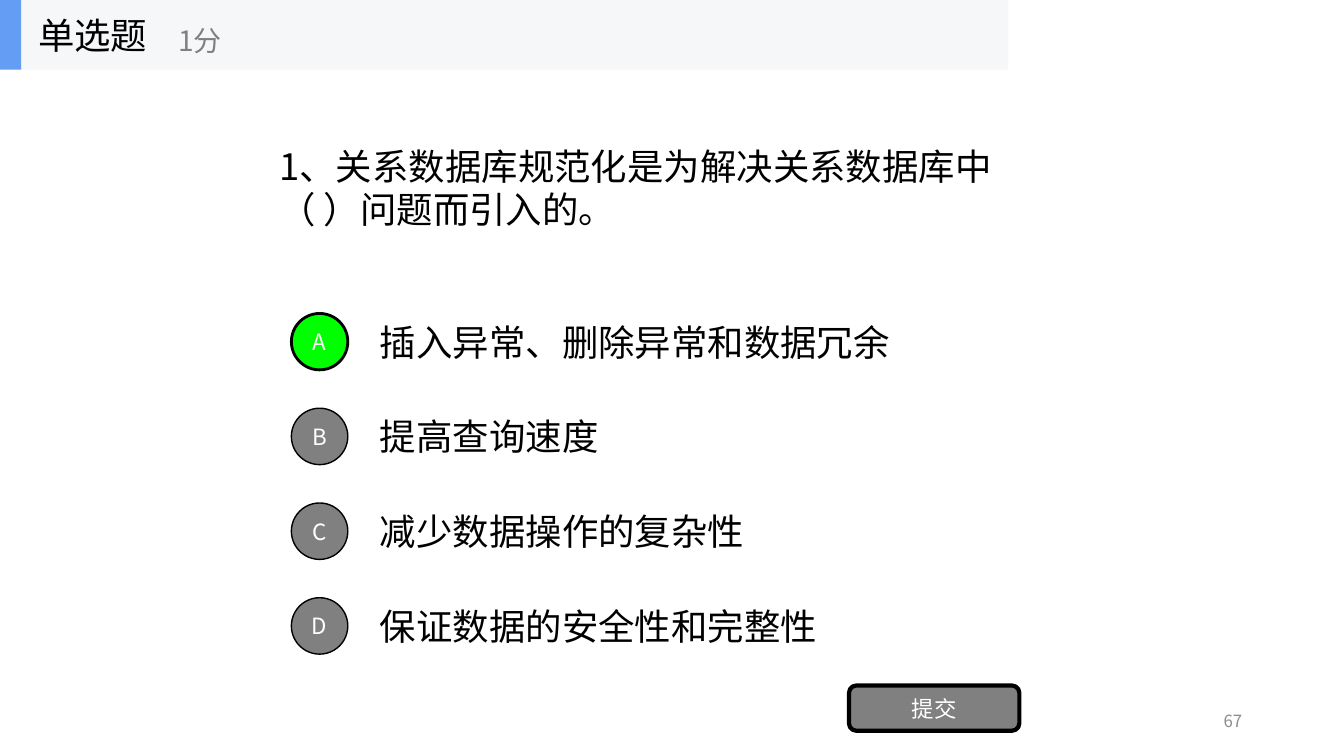
from dataclasses import dataclass

from lxml import etree
from pptx import Presentation
from pptx.dml.color import RGBColor
from pptx.enum.shapes import MSO_SHAPE
from pptx.enum.text import MSO_ANCHOR, MSO_AUTO_SIZE, PP_ALIGN
from pptx.oxml.ns import qn
from pptx.util import Inches, Pt

OVAL = MSO_SHAPE.OVAL
RECTANGLE = MSO_SHAPE.RECTANGLE
ROUNDED = MSO_SHAPE.ROUNDED_RECTANGLE
LEFT, CENTER, RIGHT = PP_ALIGN.LEFT, PP_ALIGN.CENTER, PP_ALIGN.RIGHT
MIDDLE = MSO_ANCHOR.MIDDLE
NO_AUTOFIT = MSO_AUTO_SIZE.NONE

FONT = "Noto Sans CJK SC"
BLACK, WHITE, GRAY = "000000", "FFFFFF", "808080"
GREEN, BLUE, PALE = "00FF00", "639EF4", "F6F7F8"
PAGE_GRAY = "8C8C8C"

OPTION_TOP, OPTION_PITCH = 3.04, 0.94


@dataclass
class Box:
    left: float
    top: float
    width: float
    height: float

    def lengths(self) -> list:
        return [Inches(v) for v in (self.left, self.top, self.width, self.height)]


@dataclass
class Label:
    text: str
    size: float
    color: str = BLACK
    align: PP_ALIGN = LEFT
    wrap: bool = True


@dataclass
class Option:
    letter: str
    answer: str
    fill: str = GRAY
    outline: float = 1


def rgb(value: str) -> RGBColor:
    return RGBColor.from_string(value)


def write(shape, label: Label) -> None:
    frame = shape.text_frame
    frame_format = {"word_wrap": label.wrap, "auto_size": NO_AUTOFIT,
                    "vertical_anchor": MIDDLE}
    for name, value in frame_format.items():
        setattr(frame, name, value)
    paragraph = frame.paragraphs[0]
    paragraph.alignment = label.align
    run = paragraph.add_run()
    run.text = label.text
    for name, value in {"name": FONT, "size": Pt(label.size)}.items():
        setattr(run.font, name, value)
    run.font.color.rgb = rgb(label.color)
    # East Asian typeface for the Chinese characters
    etree.SubElement(run.font._element, qn("a:ea")).set("typeface", FONT)


def add_label(parent, box: Box, label: Label) -> None:
    write(parent.add_textbox(*box.lengths()), label)


def add_block(parent, kind: MSO_SHAPE, box: Box, fill: str,
              outline: float = 0, label: Label | None = None) -> None:
    block = parent.add_shape(kind, *box.lengths())
    block.shadow.inherit = False
    block.fill.solid()
    block.fill.fore_color.rgb = rgb(fill)
    if outline:
        block.line.color.rgb = rgb(BLACK)
        block.line.width = Pt(outline)
    else:
        block.line.fill.background()
    if label:
        margins = ("margin_left", "margin_right", "margin_top", "margin_bottom")
        for name in margins:
            setattr(block.text_frame, name, 0)
        write(block, label)


OPTIONS = [
    Option("A", "插入异常、删除异常和数据冗余", GREEN, 2),
    Option("B", "提高查询速度"),
    Option("C", "减少数据操作的复杂性"),
    Option("D", "保证数据的安全性和完整性"),
]


def main() -> None:
    deck = Presentation()
    deck.slide_width, deck.slide_height = Inches(13.33), Inches(7.5)
    slide = deck.slides.add_slide(deck.slide_layouts[5])
    shapes = slide.shapes

    # Question
    question = shapes.title
    place = zip(("left", "top", "width", "height"), Box(2.67, 0.69, 8, 2.34).lengths())
    for name, value in place:
        setattr(question, name, value)
    write(question, Label("1、关系数据库规范化是为解决关系数据库中（ ）问题而引入的。", 26))

    # Answer options
    for index, option in enumerate(OPTIONS):
        top = OPTION_TOP + index * OPTION_PITCH
        add_label(shapes, Box(3.67, top, 7, 0.7), Label(option.answer, 26))
        add_block(shapes, OVAL, Box(2.89, top + 0.07, 0.56, 0.56), option.fill,
                  option.outline, Label(option.letter, 16, WHITE, CENTER))

    # Submit button and page number
    add_block(shapes, ROUNDED, Box(8.42, 6.8, 1.69, 0.45), GRAY, 3,
              Label("提交", 16, WHITE, CENTER))
    add_label(shapes, Box(9.42, 6.95, 3, 0.4), Label("67", 12, PAGE_GRAY, RIGHT))

    # Header band with question type and score
    header = shapes.add_group_shape().shapes
    add_block(header, RECTANGLE, Box(0, 0, 10, 0.69), PALE)
    add_block(header, RECTANGLE, Box(0, 0, 0.21, 0.69), BLUE)
    add_label(header, Box(0.28, 0, 2.08, 0.69), Label("单选题", 26, wrap=False))
    add_label(header, Box(1.67, 0.12, 2.5, 0.56), Label("1分", 20, GRAY, wrap=False))

    deck.save("out.pptx")


if __name__ == "__main__":
    main()
